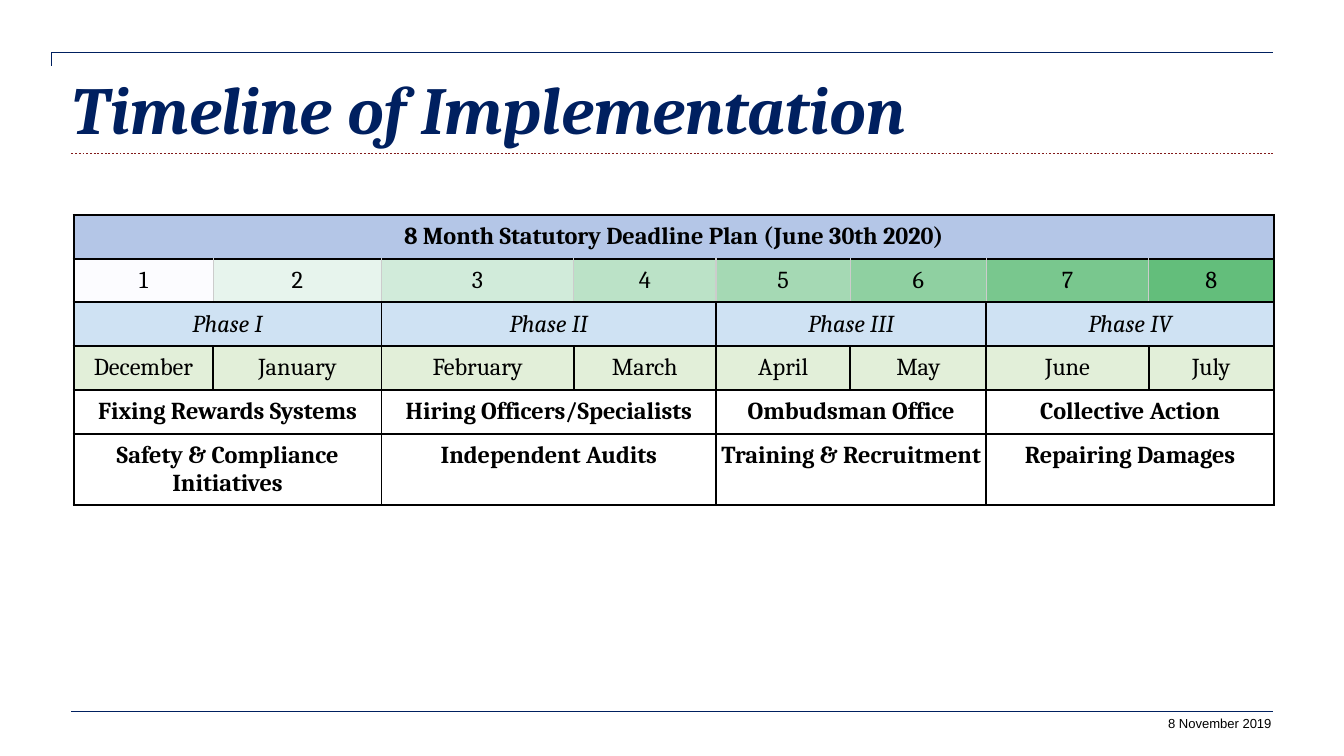
"""Build the implementation timeline slide."""
from dataclasses import dataclass

from lxml import etree
from pptx import Presentation
from pptx.dml.color import RGBColor
from pptx.enum.dml import MSO_LINE
from pptx.enum.shapes import MSO_CONNECTOR
from pptx.enum.text import MSO_ANCHOR, MSO_AUTO_SIZE, PP_ALIGN
from pptx.oxml.ns import qn
from pptx.shapes.connector import Connector
from pptx.slide import Slide
from pptx.table import _Cell
from pptx.text.text import TextFrame
from pptx.util import Cm, Pt

STRAIGHT, ELBOW = MSO_CONNECTOR.STRAIGHT, MSO_CONNECTOR.ELBOW
DOTTED = MSO_LINE.ROUND_DOT
LEFT, CENTER, RIGHT = PP_ALIGN.LEFT, PP_ALIGN.CENTER, PP_ALIGN.RIGHT
TOP, BOTTOM = MSO_ANCHOR.TOP, MSO_ANCHOR.BOTTOM
NO_AUTOFIT = MSO_AUTO_SIZE.NONE

NAVY = RGBColor(0x00, 0x20, 0x60)
MAROON = RGBColor(0x82, 0x1A, 0x1A)
BLACK = RGBColor(0x00, 0x00, 0x00)
GREY = RGBColor(0xCC, 0xCC, 0xCC)
PERIWINKLE = RGBColor(0xB4, 0xC6, 0xE7)
PALE_BLUE = RGBColor(0xCF, 0xE2, 0xF3)
PALE_GREEN = RGBColor(0xE2, 0xEF, 0xD9)
MONTH_SHADES = [
    RGBColor(0xFC, 0xFC, 0xFF), RGBColor(0xE7, 0xF4, 0xED),
    RGBColor(0xD1, 0xEB, 0xDA), RGBColor(0xBB, 0xE2, 0xC7),
    RGBColor(0xA5, 0xD9, 0xB4), RGBColor(0x8F, 0xD0, 0xA1),
    RGBColor(0x79, 0xC7, 0x8E), RGBColor(0x63, 0xBE, 0x7B),
]

SERIF, SANS = "Cambria", "Arial"
LEFT_EDGE, RIGHT_EDGE = 1.35, 24.05
COLUMN_WIDTHS = [2.64, 3.18, 3.63, 2.69, 2.54, 2.57, 3.07, 2.36]
ROW_HEIGHT, LAST_ROW_HEIGHT = 0.71, 1.07


@dataclass
class Rule:
    """A ruled line of the page frame, in centimetres."""
    start: tuple[float, float]
    end: tuple[float, float]
    color: RGBColor = NAVY
    width: float = 0.75
    dotted: bool = False
    bent: bool = False


@dataclass
class PlanRow:
    """One row of the plan, with its cells spread evenly over the columns."""
    texts: list[str]
    fills: list[RGBColor] | None = None
    bold: bool = False
    italic: bool = False
    inner: tuple[RGBColor, float] = (BLACK, 1.2)


RULES = [
    Rule((LEFT_EDGE, 13.44), (RIGHT_EDGE, 13.44)),
    Rule((LEFT_EDGE, 2.9), (RIGHT_EDGE, 2.9), MAROON, 1, dotted=True),
    Rule((0.97, 1.24), (RIGHT_EDGE, 0.99), bent=True),
]
PLAN = [
    PlanRow(["8 Month Statutory Deadline Plan (June 30th 2020)"], [PERIWINKLE], bold=True),
    PlanRow([str(month) for month in range(1, 9)], MONTH_SHADES, inner=(GREY, 0.75)),
    PlanRow(["Phase I", "Phase II", "Phase III", "Phase IV"], [PALE_BLUE] * 4, italic=True),
    PlanRow(["December", "January", "February", "March", "April", "May", "June", "July"],
            [PALE_GREEN] * 8),
    PlanRow(["Fixing Rewards Systems", "Hiring Officers/Specialists", "Ombudsman Office",
             "Collective Action"], bold=True),
    PlanRow(["Safety & Compliance Initiatives", "Independent Audits",
             "Training & Recruitment", "Repairing Damages"], bold=True),
]


def set_text(frame: TextFrame, text: str, size: float, align: PP_ALIGN, font: str = SERIF,
             color: RGBColor = BLACK, bold: bool = False, italic: bool = False) -> None:
    """Write one formatted paragraph."""
    frame.text = text
    para = frame.paragraphs[0]
    para.alignment = align
    span = para.runs[0].font
    span.name, span.size, span.bold, span.italic = font, Pt(size), bold, italic
    span.color.rgb = color


def set_frame(frame: TextFrame, anchor: MSO_ANCHOR) -> None:
    """Remove the margins and fix the size of a text frame."""
    frame.margin_left = frame.margin_right = frame.margin_top = frame.margin_bottom = 0
    frame.word_wrap = True
    frame.auto_size = NO_AUTOFIT
    frame.vertical_anchor = anchor


def draw_rule(page: Slide, rule: Rule) -> Connector:
    """Draw a straight or bent rule."""
    points = [Cm(value) for value in (*rule.start, *rule.end)]
    line = page.shapes.add_connector(ELBOW if rule.bent else STRAIGHT, *points)
    line.line.color.rgb = rule.color
    line.line.width = Pt(rule.width)
    if rule.dotted:
        line.line.dash_style = DOTTED
    properties = line._element.spPr
    etree.SubElement(properties, qn("a:effectLst"))
    if rule.bent:
        guides = properties.find(qn("a:prstGeom")).get_or_add_avLst()
        etree.SubElement(guides, qn("a:gd"), name="adj1", fmla="val 0")
    return line


def set_borders(cell: _Cell, sides: dict[str, tuple[RGBColor, float]]) -> None:
    """Give a cell its borders, placed ahead of the fill."""
    properties = cell._tc.get_or_add_tcPr()
    for index, side in enumerate("LRTB"):
        color, width = sides[side]
        border = etree.Element(qn(f"a:ln{side}"), w=str(Pt(width)))
        fill = etree.SubElement(border, qn("a:solidFill"))
        etree.SubElement(fill, qn("a:srgbClr"), val=str(color))
        properties.insert(index, border)


def draw_plan(page: Slide) -> None:
    """Draw the plan table."""
    columns = len(COLUMN_WIDTHS)
    table = page.shapes.add_table(len(PLAN), columns, Cm(1.39), Cm(4.06),
                                  Cm(sum(COLUMN_WIDTHS)), Cm(ROW_HEIGHT * len(PLAN))).table
    table.first_row = table.horz_banding = False
    for column, width in zip(table.columns, COLUMN_WIDTHS):
        column.width = Cm(width)
    for number, row in enumerate(PLAN):
        last = number == len(PLAN) - 1
        table.rows[number].height = Cm(LAST_ROW_HEIGHT if last else ROW_HEIGHT)
        span = columns // len(row.texts)
        outer = (BLACK, 1.2)
        for index in range(columns):
            cell = table.cell(number, index)
            if row.fills:
                cell.fill.solid()
                cell.fill.fore_color.rgb = row.fills[index // span]
            else:
                cell.fill.background()
            set_borders(cell, {"L": row.inner if index else outer,
                               "R": row.inner if index < columns - 1 else outer,
                               "T": outer, "B": outer})
            cell.margin_left = cell.margin_right = Cm(0.05)
            cell.margin_top = cell.margin_bottom = Cm(0.15)
        for index, text in enumerate(row.texts):
            cell = table.cell(number, index * span)
            if span > 1:
                cell.merge(table.cell(number, index * span + span - 1))
            set_text(cell.text_frame, text, 13, CENTER, bold=row.bold, italic=row.italic)


def main() -> None:
    """Build and save the deck."""
    deck = Presentation()
    deck.slide_width, deck.slide_height = Cm(25.4), Cm(14.28)
    page = deck.slides.add_slide(deck.slide_layouts[5])

    for rule in RULES:
        draw_rule(page, rule)

    title = page.shapes.title
    title.left, title.top, title.width, title.height = Cm(1.35), Cm(1.24), Cm(22.73), Cm(1.55)
    set_frame(title.text_frame, BOTTOM)
    set_text(title.text_frame, "Timeline of Implementation", 36, LEFT,
             color=NAVY, bold=True, italic=True)

    draw_plan(page)

    date_box = page.shapes.add_textbox(Cm(21.97), Cm(13.51), Cm(2.06), Cm(0.3))
    set_frame(date_box.text_frame, TOP)
    set_text(date_box.text_frame, "8 November 2019", 7, RIGHT, font=SANS)

    deck.save("out.pptx")


main()
